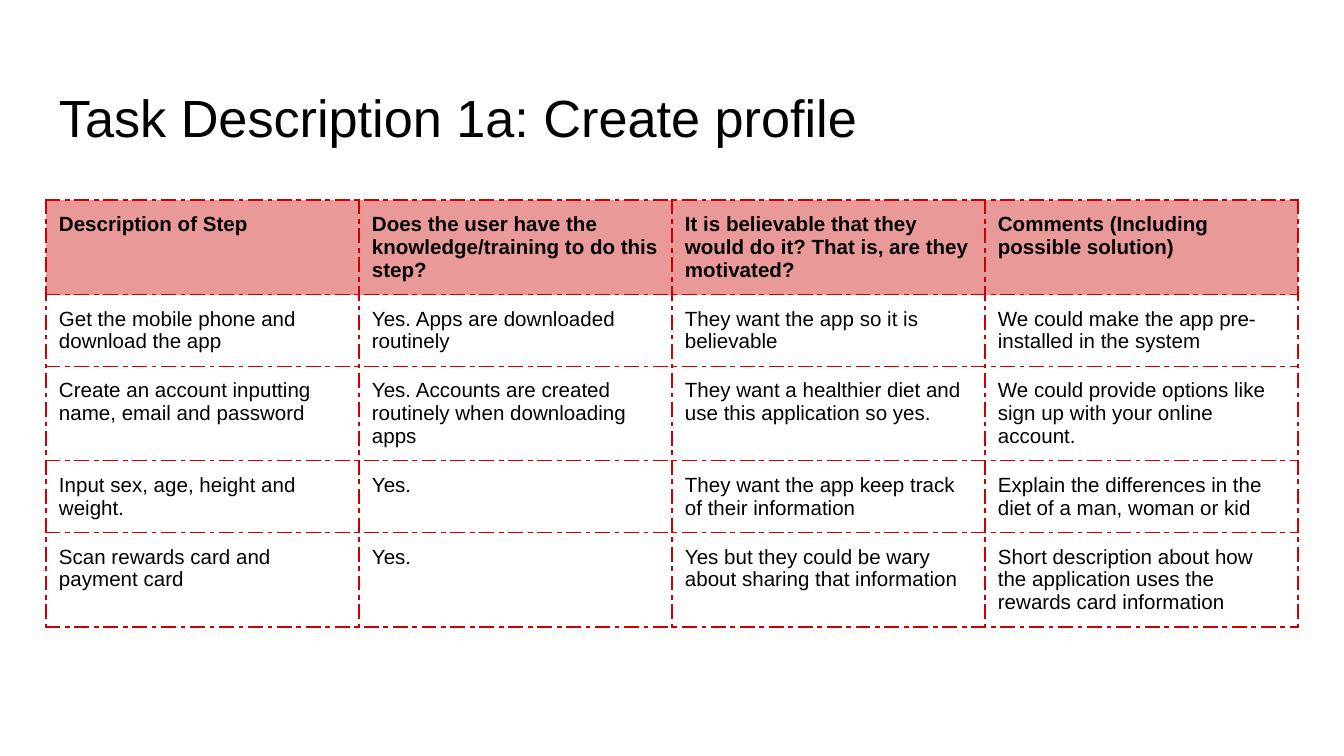
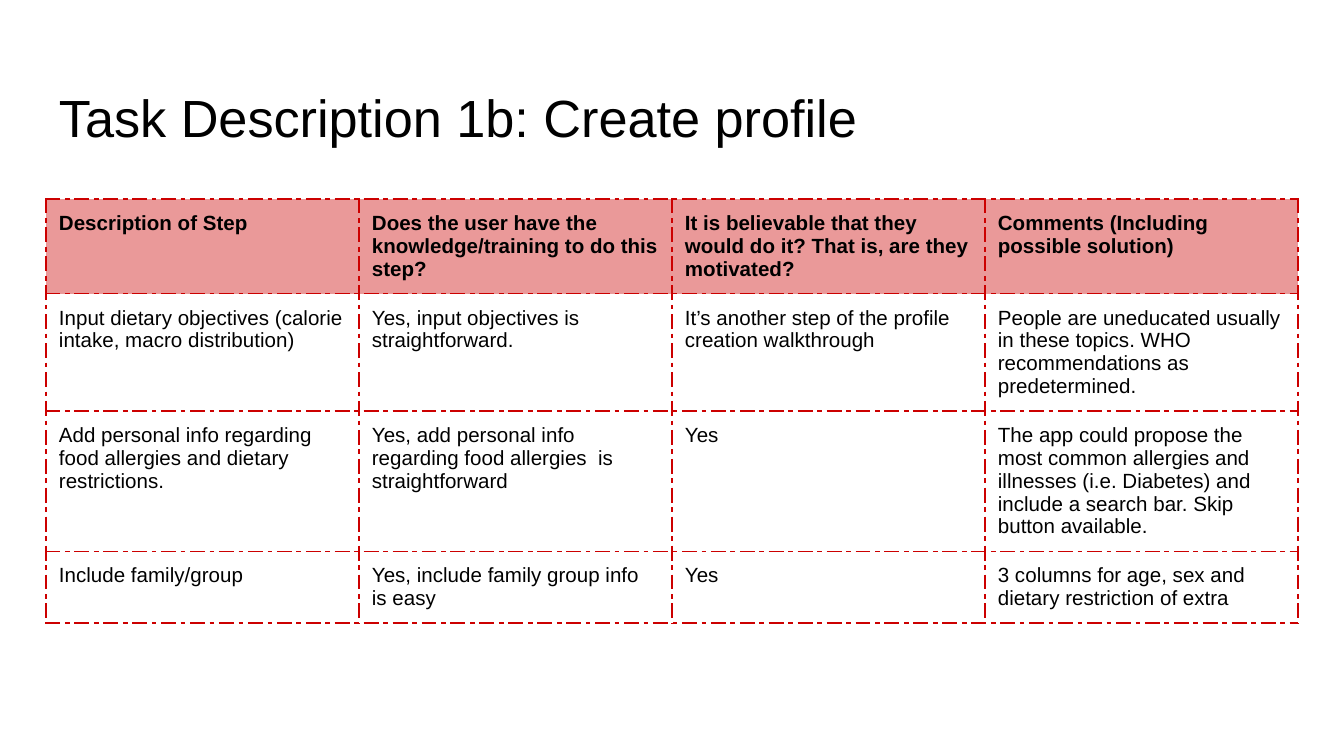
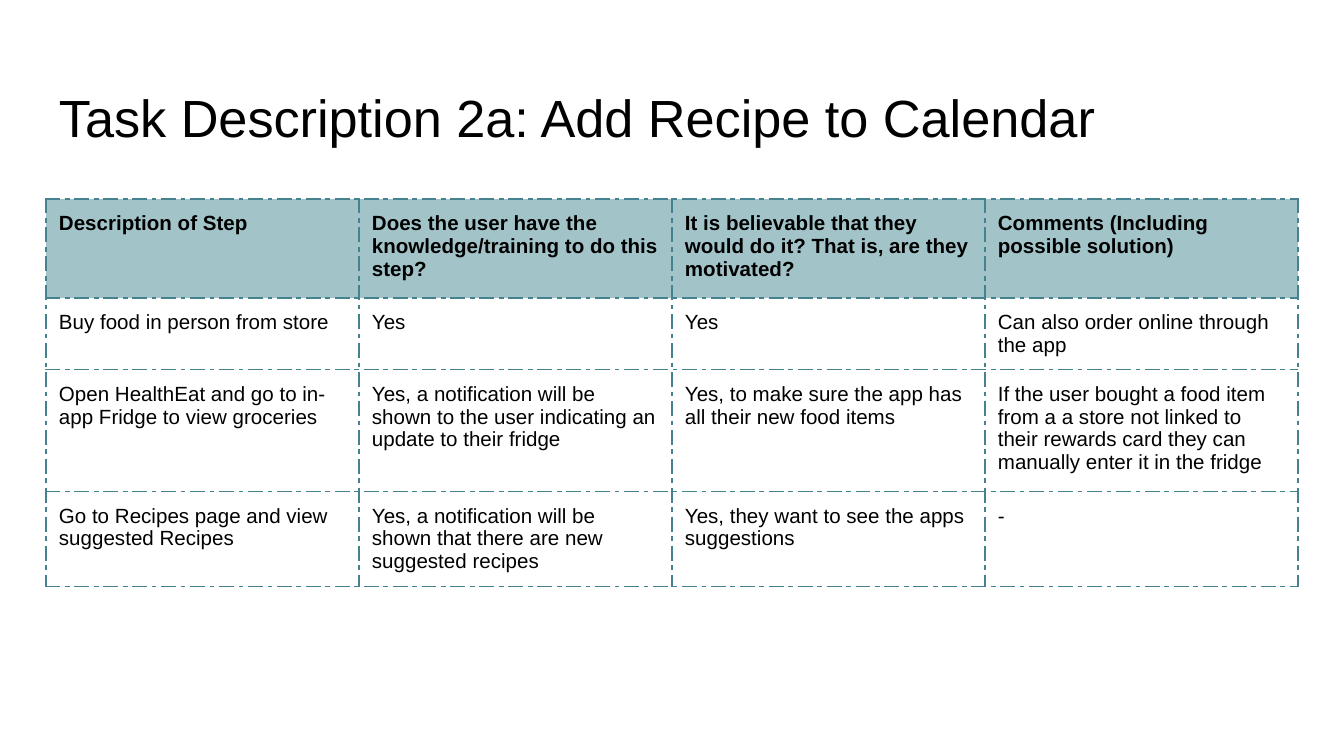
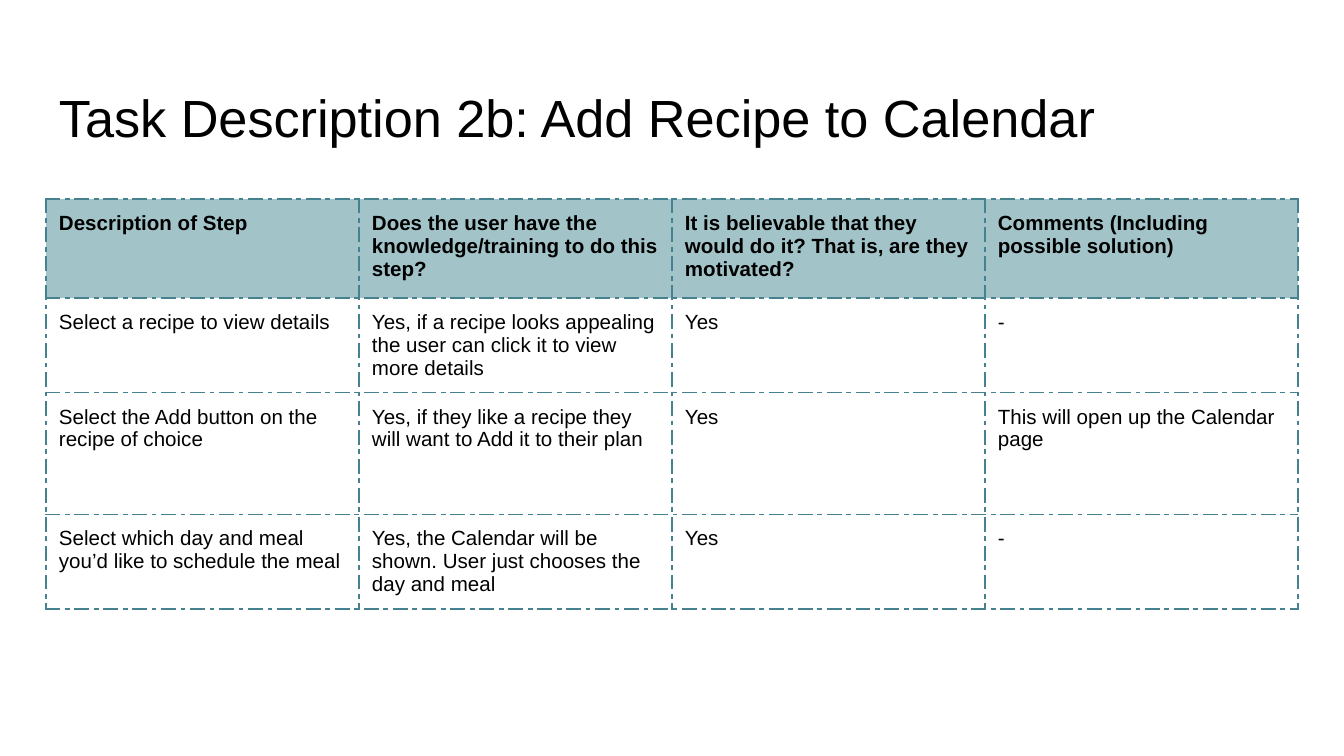
from lxml.etree import SubElement
from pptx import Presentation
from pptx.dml.color import RGBColor
from pptx.enum.text import MSO_ANCHOR, MSO_AUTO_SIZE, PP_ALIGN
from pptx.oxml.ns import qn
from pptx.util import Emu, Pt

PX_PER_INCH = 134.4
BLACK = RGBColor(0x00, 0x00, 0x00)
RED = RGBColor(0xCC, 0x00, 0x00)
PINK = RGBColor(0xEA, 0x99, 0x99)
TEAL = RGBColor(0x45, 0x81, 0x8E)
PALE_TEAL = RGBColor(0xA2, 0xC4, 0xC9)

LEFT, COL_WIDTH, INSET = 46, 313, 13
TITLE_FONT = {"name": "Arial", "size": Pt(28), "bold": False}
CELL_FONT = {"name": "Arial", "size": Pt(11)}
PROFILE_STYLE = {"line": RED, "fill": PINK, "dash": "lgDashDot"}
RECIPE_STYLE = {"line": TEAL, "fill": PALE_TEAL, "dash": "dashDot"}
RECIPE_ROWS = [99, 59, 122, 67]

HEADERS = [
    "Description of Step",
    "Does the user have the knowledge/training to do this step?",
    "It is believable that they would do it? That is, are they motivated?",
    "Comments (Including possible solution)",
]

PROFILE_A = [
    ["Get the mobile phone and download the app",
     "Yes. Apps are downloaded routinely",
     "They want the app so it is believable",
     "We could make the app pre-installed in the system"],
    ["Create an account inputting name, email and password",
     "Yes. Accounts are created routinely when downloading apps",
     "They want a healthier diet and use this application so yes.",
     "We could provide options like sign up with your online account."],
    ["Input sex, age, height and weight.",
     "Yes.",
     "They want the app keep track of their information",
     "Explain the differences in the diet of a man, woman or kid"],
    ["Scan rewards card and payment card",
     "Yes.",
     "Yes but they could be wary about sharing that information",
     "Short description about how the application uses the rewards card "
     "information"],
]

PROFILE_B = [
    ["Input dietary objectives (calorie intake, macro distribution)",
     "Yes, input objectives is straightforward.",
     "It’s another step of the profile creation walkthrough",
     "People are uneducated usually in these topics. WHO recommendations as "
     "predetermined."],
    ["Add personal info regarding food allergies and dietary restrictions.",
     "Yes, add personal info regarding food allergies  is straightforward",
     "Yes",
     "The app could propose the most common allergies and illnesses "
     "(i.e. Diabetes) and include a search bar. Skip button available."],
    ["Include family/group",
     "Yes, include family group info is easy",
     "Yes",
     "3 columns for age, sex and dietary restriction of extra"],
]

RECIPE_A = [
    ["Buy food in person from store",
     "Yes",
     "Yes",
     "Can also order online through the app"],
    ["Open HealthEat and go to in-app Fridge to view groceries",
     "Yes, a notification will be shown to the user indicating an update to "
     "their fridge",
     "Yes, to make sure the app has all their new food items",
     "If the user bought a food item from a a store not linked to their "
     "rewards card they can manually enter it in the fridge"],
    ["Go to Recipes page and view suggested Recipes",
     "Yes, a notification will be shown that there are new suggested recipes",
     "Yes, they want to see the apps suggestions",
     "-"],
]

RECIPE_B = [
    ["Select a recipe to view details",
     "Yes, if a recipe looks appealing the user can click it to view more "
     "details",
     "Yes",
     "-"],
    ["Select the Add button on the recipe of choice",
     "Yes, if they like a recipe they will want to Add it to their plan",
     "Yes",
     "This will open up the Calendar page"],
    ["Select which day and meal you’d like to schedule the meal",
     "Yes, the Calendar will be shown. User just chooses the day and meal",
     "Yes",
     "-"],
]

SLIDES = [
    ("Task Description 1a: Create profile",
     200, [70, 55, 55, 55, 55], PROFILE_A, PROFILE_STYLE),
    ("Task Description 1b: Create profile",
     199, [55, 55, 55, 55], PROFILE_B, PROFILE_STYLE),
    ("Task Description 2a: Add Recipe to Calendar",
     199, RECIPE_ROWS, RECIPE_A, RECIPE_STYLE),
    ("Task Description 2b: Add Recipe to Calendar",
     199, RECIPE_ROWS, RECIPE_B, RECIPE_STYLE),
]


def px(n):
    """Turn pixels into EMU."""
    return Emu(round(n * 914400 / PX_PER_INCH))


def set_attrs(obj, values):
    """Set each attribute named in a dict."""
    for name, value in values.items():
        setattr(obj, name, value)


def write(tf, text, font):
    """Write one black, left-aligned paragraph."""
    p = tf.paragraphs[0]
    p.alignment = PP_ALIGN.LEFT
    r = p.add_run()
    r.text = text
    set_attrs(r.font, font)
    r.font.color.rgb = BLACK


def add_title(s, text):
    """Place and format the slide's title."""
    sp = s.shapes.title
    set_attrs(sp, {"left": px(LEFT), "top": px(66),
                   "width": px(4 * COL_WIDTH), "height": px(84)})
    tf = sp.text_frame
    set_attrs(tf, {"word_wrap": True, "auto_size": MSO_AUTO_SIZE.NONE,
                   "vertical_anchor": MSO_ANCHOR.TOP,
                   "margin_left": px(INSET), "margin_right": px(INSET),
                   "margin_top": px(19), "margin_bottom": px(6)})
    write(tf, text, TITLE_FONT)


def add_borders(cell, color, dash):
    """Draw dashed lines on all four sides of a cell."""
    tcPr = cell._tc.get_or_add_tcPr()
    for side in ("lnL", "lnR", "lnT", "lnB"):
        ln = SubElement(tcPr, qn(f"a:{side}"), w=str(Pt(0.75)))
        fill = SubElement(ln, qn("a:solidFill"))
        SubElement(fill, qn("a:srgbClr"), val=str(color))
        SubElement(ln, qn("a:prstDash"), val=dash)


def format_cell(cell, text, style, is_header):
    """Fill in one cell with its text, borders and background."""
    set_attrs(cell, {f"margin_{side}": px(INSET)
                     for side in ("left", "right", "top", "bottom")})
    cell.vertical_anchor = MSO_ANCHOR.TOP
    write(cell.text_frame, text, {**CELL_FONT, "bold": is_header})
    add_borders(cell, style["line"], style["dash"])
    if is_header:
        cell.fill.solid()
        cell.fill.fore_color.rgb = style["fill"]
    else:
        cell.fill.background()


def add_step_table(s, top, heights, steps, style):
    """Add the table of steps under its header row."""
    rows = [HEADERS] + steps
    table = s.shapes.add_table(
        len(rows), len(HEADERS), px(LEFT), px(top),
        px(COL_WIDTH * len(HEADERS)), px(sum(heights))).table
    table.horz_banding = False
    for col in table.columns:
        col.width = px(COL_WIDTH)
    for i, (height, texts) in enumerate(zip(heights, rows)):
        table.rows[i].height = px(height)
        for j, text in enumerate(texts):
            format_cell(table.cell(i, j), text, style, i == 0)


def main():
    """Build the four slides and save them."""
    prs = Presentation()
    prs.slide_width, prs.slide_height = px(1344), px(756)
    for title, top, heights, steps, style in SLIDES:
        s = prs.slides.add_slide(prs.slide_layouts[5])
        add_title(s, title)
        add_step_table(s, top, heights, steps, style)
    prs.save("out.pptx")


if __name__ == "__main__":
    main()
